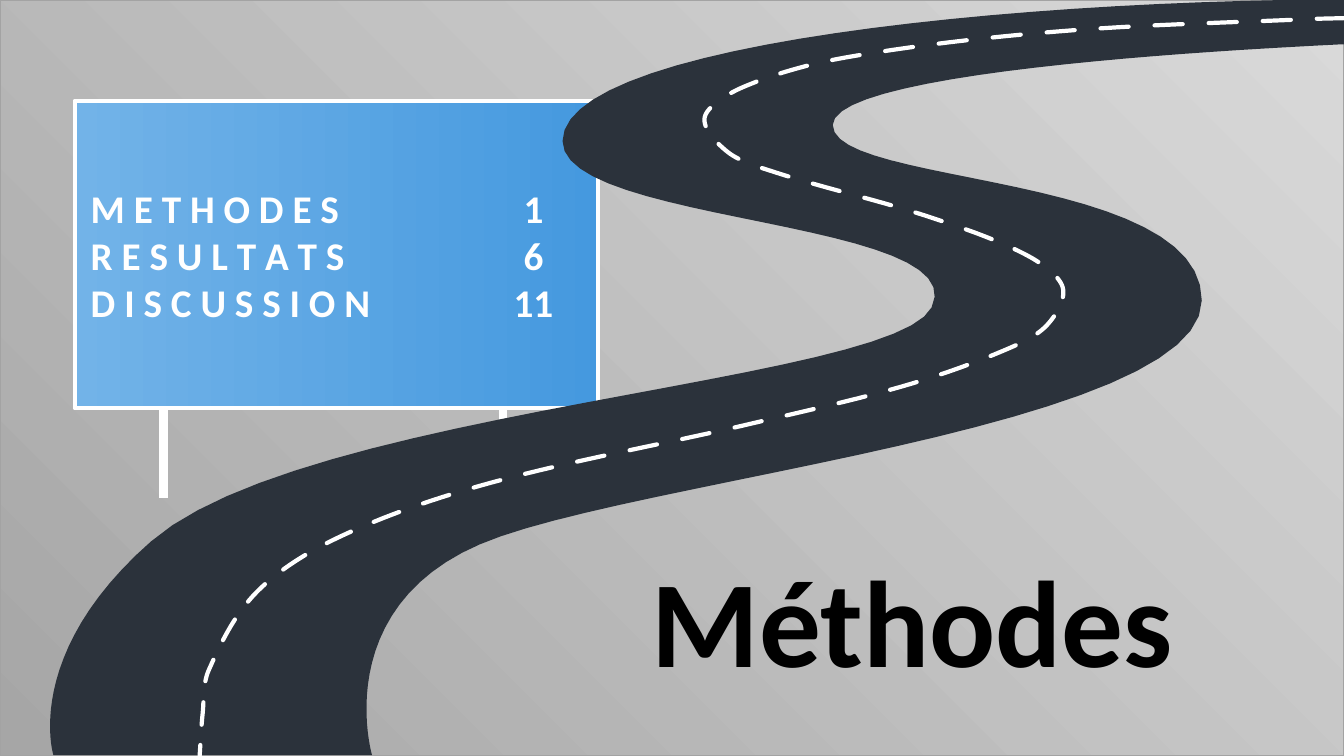
from dataclasses import dataclass

from lxml.etree import SubElement
from pptx import Presentation
from pptx.dml.color import RGBColor as Rgb
from pptx.enum.shapes import MSO_CONNECTOR as Link, MSO_SHAPE as Preset
from pptx.enum.text import MSO_ANCHOR as Anchor, MSO_AUTO_SIZE as Fit, PP_ALIGN as Align
from pptx.oxml.ns import qn
from pptx.util import Inches, Pt

# Grid: square cells of one inch
COLUMNS, ROWS = 13.33, 7.5
cell = Inches


@dataclass(frozen=True)
class Theme:
    font: str = "Calibri"
    white: str = "FFFFFF"
    black: str = "000000"
    asphalt: str = "2B323B"
    sky: tuple = ("A6A6A6", "D9D9D9")
    edge: str = "A3A3A3"
    panel: tuple = ("72B3E8", "4599DF")
    sign_size: int = 28
    title_size: int = 88


THEME = Theme()

AGENDA = [("M E T H O D E S", "1"),
          ("R E S U L T A T S", "6"),
          ("D I S C U S S I O N", "11")]

# Road edges: a start point, then Bezier pieces (two handles and an end)
INNER_START = (13.3, 0.44)
INNER_EDGE = [((12.74, 0.47), (8.26, 0.67), (8.26, 1.24)),
              ((8.26, 1.85), (11.92, 1.7), (11.92, 2.98)),
              ((11.92, 4.25), (6.25, 4.76), (4.76, 5.4)),
              ((3.27, 6.04), (3.69, 7.49), (3.69, 7.49))]
OUTER_START = (0.53, 7.49)
OUTER_EDGE = [((0.53, 7.49), (0.22, 6.49), (1.5, 5.37)),
              ((3.01, 4.05), (8.87, 3.8), (9.24, 3.05)),
              ((9.67, 2.17), (5.58, 2.23), (5.58, 1.4)),
              ((5.58, 0.5), (9.46, 0.06), (12.73, 0))]

# Centre line: dash number -> middle of that dash
CENTRE = {0: (1.98, 7.5), 1: (2.01, 7.08), 2: (2.07, 6.65), 4: (2.54, 5.88),
          6: (3.36, 5.33), 9: (4.83, 4.8), 14: (7.42, 4.21), 17: (8.96, 3.83),
          19: (9.95, 3.48), 20: (10.38, 3.23), 21: (10.54, 2.85),
          22: (10.18, 2.53), 24: (9.21, 2.15), 27: (7.69, 1.71),
          28: (7.22, 1.51), 29: (6.99, 1.16), 30: (7.38, 0.86),
          32: (8.39, 0.57), 36: (10.52, 0.31), 41: (13.2, 0.18)}
LAST_DASH = max(CENTRE)
HALF_DASH = 0.26


def bezier(start, pieces, steps=24):
    points = [start]
    for first, second, end in pieces:
        for step in range(1, steps + 1):
            t = step / steps
            weights = ((1 - t) ** 3, 3 * t * (1 - t) ** 2, 3 * t * t * (1 - t), t ** 3)
            corners = (start, first, second, end)
            points.append(tuple(sum(w * c[axis] for w, c in zip(weights, corners))
                                for axis in (0, 1)))
        start = end
    return points


def centre_point(number):
    """Smooth curve through the dash middles, by dash number."""
    knots = list(CENTRE)
    last = len(knots) - 1
    i = max(n for n in range(last) if knots[n] <= number)
    a, b = knots[i], knots[i + 1]
    t = (number - a) / (b - a)

    def slope(n, axis):
        left, right = knots[max(n - 1, 0)], knots[min(n + 1, last)]
        return (CENTRE[right][axis] - CENTRE[left][axis]) / (right - left)

    return tuple((2 * t**3 - 3 * t**2 + 1) * CENTRE[a][axis]
                 + (3 * t**2 - 2 * t**3) * CENTRE[b][axis]
                 + (t**3 - 2 * t**2 + t) * (b - a) * slope(i, axis)
                 + (t**3 - t**2) * (b - a) * slope(i + 1, axis)
                 for axis in (0, 1))


def dash_points(number, steps=8):
    start = max(number - HALF_DASH, 0)
    end = number + HALF_DASH
    points = [centre_point(start + (end - start) * s / steps) for s in range(steps + 1)]
    return [(min(x, COLUMNS), y) for x, y in points]


def add_outline(page, contours, closed):
    contours = [[(cell(x), cell(y)) for x, y in points] for points in contours]
    builder = page.shapes.build_freeform(*contours[0][0], scale=1.0)
    for index, points in enumerate(contours):
        if index:
            builder.move_to(*points[0])
        builder.add_line_segments(points[1:], close=closed)
    shape = builder.convert_to_shape()
    shape.shadow.inherit = False
    return shape


def set_line(line, color, width):
    line.color.rgb = Rgb.from_string(color)
    line.width = Pt(width)


def add_gradient_box(page, area, colors, angle, edge, width):
    box = page.shapes.add_shape(Preset.RECTANGLE, *map(cell, area))
    box.shadow.inherit = False
    box.fill.gradient()
    box.fill.gradient_angle = angle
    for stop, color, position in zip(box.fill.gradient_stops, colors, (0, 1)):
        stop.color.rgb = Rgb.from_string(color)
        stop.position = position
    set_line(box.line, edge, width)
    return box


def write(box, lines, size, color, align, anchor, left=0.0, right=0.0):
    frame = box.text_frame
    frame.word_wrap = True
    frame.vertical_anchor = anchor
    frame.margin_left, frame.margin_right = cell(left), cell(right)
    frame.margin_top = frame.margin_bottom = cell(0.05)
    for index, line in enumerate(lines):
        para = frame.add_paragraph() if index else frame.paragraphs[0]
        para.alignment = align
        span = para.add_run()
        span.text = line
        span.font.name, span.font.size, span.font.bold = THEME.font, Pt(size), True
        span.font.color.rgb = Rgb.from_string(color)


def add_post(page, x):
    post = page.shapes.add_connector(Link.STRAIGHT, cell(x), cell(4.94), cell(x), cell(3.16))
    set_line(post.line, THEME.white, 6)
    SubElement(post.element.spPr, qn("a:effectLst"))


def add_sign(page):
    for x in (4.99, 1.62):
        add_post(page, x)
    panel = add_gradient_box(page, (0.74, 1, 5.19, 3.05), THEME.panel, 0, THEME.white, 3)
    numbers = page.shapes.add_textbox(*map(cell, (4.69, 1, 1.14, 3.05)))
    headings, pages = zip(*AGENDA)
    for box, lines, align in ((panel, headings, Align.LEFT), (numbers, pages, Align.CENTER)):
        write(box, lines, THEME.sign_size, THEME.white, align, Anchor.MIDDLE, 0.16, 0.1)


def add_road(page):
    outline = ([(COLUMNS, 0), (COLUMNS, 0.44)] + bezier(INNER_START, INNER_EDGE)
               + bezier(OUTER_START, OUTER_EDGE))
    road = add_outline(page, [outline], closed=True)
    road.fill.solid()
    road.fill.fore_color.rgb = Rgb.from_string(THEME.asphalt)
    road.line.fill.background()

    dashes = add_outline(page, [dash_points(n) for n in range(LAST_DASH)]
                         + [[centre_point(LAST_DASH - HALF_DASH), (COLUMNS, 0.18)]],
                         closed=False)
    dashes.fill.background()
    set_line(dashes.line, THEME.white, 3)
    dashes.line.fill.solid()
    dashes.line.fill.fore_color.rgb = Rgb.from_string(THEME.white)
    dashes.element.spPr.find(qn("a:ln")).set("cap", "rnd")


def add_title(page):
    title = page.shapes.title
    title.left, title.top, title.width, title.height = map(cell, (5.26, 5.34, 7.58, 1.58))
    write(title, ["Méthodes"], THEME.title_size, THEME.black, Align.CENTER, Anchor.BOTTOM)
    title.text_frame.auto_size = Fit.SHAPE_TO_FIT_TEXT
    # Bring the title in front of the backdrop
    title.element.getparent().append(title.element)


def main():
    deck = Presentation()
    deck.slide_width, deck.slide_height = cell(COLUMNS), cell(ROWS)
    page = deck.slides.add_slide(deck.slide_layouts.get_by_name("Title Only"))
    add_gradient_box(page, (0, 0, COLUMNS, ROWS), THEME.sky, 45, THEME.edge, 1.25)
    add_sign(page)
    add_road(page)
    add_title(page)
    deck.save("out.pptx")


if __name__ == "__main__":
    main()
